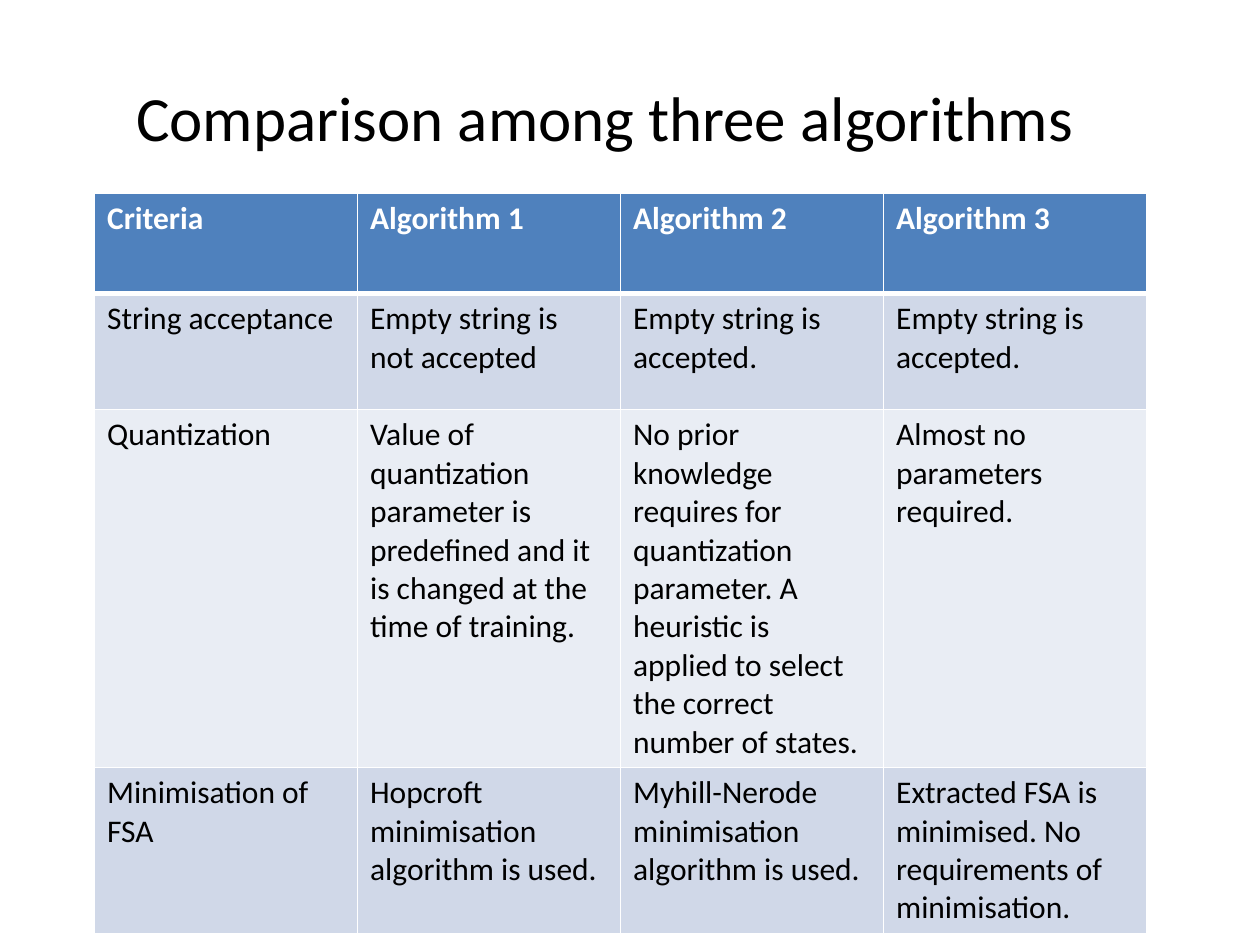
from lxml import etree
from pptx import Presentation
from pptx.dml.color import RGBColor
from pptx.enum.text import MSO_ANCHOR, PP_ALIGN
from pptx.oxml.ns import qn
from pptx.util import Inches, Pt

CENTER = PP_ALIGN.CENTER
MIDDLE = MSO_ANCHOR.MIDDLE

BLACK = RGBColor(0x00, 0x00, 0x00)
WHITE = RGBColor(0xFF, 0xFF, 0xFF)
HEADER_BLUE = RGBColor(0x4F, 0x81, 0xBD)
BAND_DARK = RGBColor(0xD0, 0xD8, 0xE8)
BAND_LIGHT = RGBColor(0xE9, 0xED, 0xF4)
FONT = "Calibri"

TITLE = "Comparison among three algorithms"
COMPARISON = [
    ("Criteria", "Algorithm 1", "Algorithm 2", "Algorithm 3"),
    ("String acceptance", "Empty string is not accepted",
     "Empty string is accepted.", "Empty string is accepted."),
    ("Quantization",
     "Value of quantization parameter is predefined and it is changed at the time of training.",
     "No prior knowledge requires for quantization parameter. A heuristic is applied "
     "to select the correct number of states.",
     "Almost no parameters required."),
    ("Minimisation of FSA", "Hopcroft minimisation algorithm is used.",
     "Myhill-Nerode minimisation algorithm is used.",
     "Extracted FSA is minimised. No requirements of minimisation."),
]
ROW_HEIGHTS = (0.8, 0.92, 2.84, 1.32)
TABLE_LEFT, TABLE_TOP, TABLE_WIDTH = 0.75, 1.53, 8.35


def style_font(paragraph, size, color, bold=False):
    font = paragraph.font
    font.name, font.size, font.bold = FONT, Pt(size), bold
    font.color.rgb = color


def set_borders(cell, widths):
    properties = cell._tc.get_or_add_tcPr()
    for index, (side, width) in enumerate(widths.items()):
        line = etree.Element(qn(f"a:ln{side}"), w=str(Pt(width)))
        fill = etree.SubElement(line, qn("a:solidFill"))
        etree.SubElement(fill, qn("a:srgbClr"), val=str(WHITE))
        properties.insert(index, line)


def add_title(slide):
    frame = slide.shapes.add_textbox(Inches(0), Inches(0.3), Inches(9), Inches(1.25)).text_frame
    frame.word_wrap = True
    frame.vertical_anchor = MIDDLE
    frame.margin_left = Inches(0.7)
    heading = frame.paragraphs[0]
    heading.text = TITLE
    heading.alignment = CENTER
    style_font(heading, 36, BLACK)


def add_comparison(slide):
    columns = len(COMPARISON[0])
    table = slide.shapes.add_table(
        len(COMPARISON), columns, Inches(TABLE_LEFT), Inches(TABLE_TOP),
        Inches(TABLE_WIDTH), Inches(sum(ROW_HEIGHTS))).table
    for column in table.columns:
        column.width = Inches(TABLE_WIDTH / columns)
    for r, (entries, height) in enumerate(zip(COMPARISON, ROW_HEIGHTS)):
        table.rows[r].height = Inches(height)
        header = r == 0
        band = HEADER_BLUE if header else BAND_DARK if r % 2 else BAND_LIGHT
        borders = {"L": 1, "R": 1, "T": 3 if r == 1 else 1, "B": 3 if header else 1}
        for c, entry in enumerate(entries):
            cell = table.cell(r, c)
            cell.text = entry
            cell.fill.solid()
            cell.fill.fore_color.rgb = band
            set_borders(cell, borders)
            style_font(cell.text_frame.paragraphs[0], 18, WHITE if header else BLACK, header)


def main():
    deck = Presentation()
    deck.slide_width, deck.slide_height = Inches(10), Inches(7.5)
    slide = deck.slides.add_slide(deck.slide_layouts[6])
    add_title(slide)
    add_comparison(slide)
    deck.save("out.pptx")


if __name__ == "__main__":
    main()
